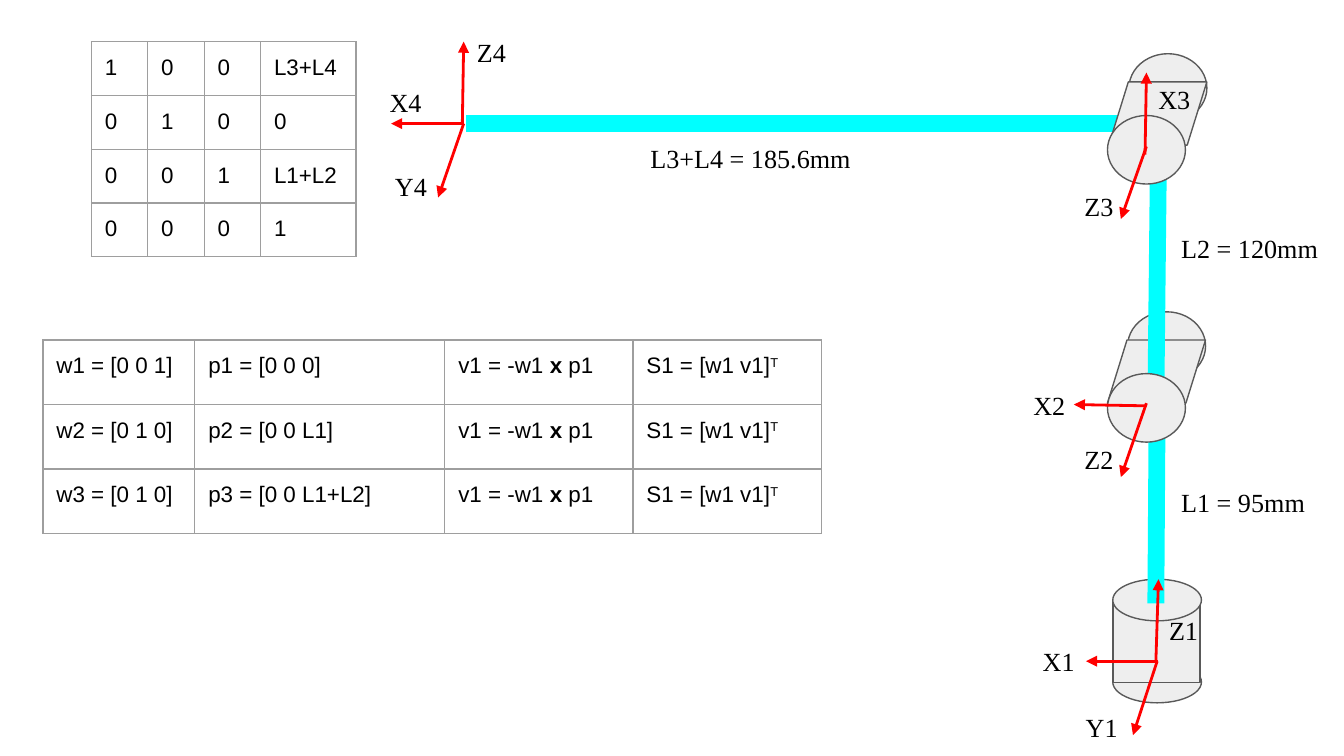
from dataclasses import dataclass

from lxml.etree import SubElement
from pptx import Presentation
from pptx.dml.color import RGBColor
from pptx.enum.shapes import MSO_CONNECTOR, MSO_SHAPE
from pptx.oxml.ns import qn
from pptx.util import Emu, Pt

EMU_PER_PX = 9144  # 100 px to the inch
SLIDE_WIDTH = 1000
INSET = 10

BLACK = RGBColor(0x00, 0x00, 0x00)
CYAN = RGBColor(0x00, 0xFF, 0xFF)
RED = RGBColor(0xFF, 0x00, 0x00)
LIGHT_GRAY = RGBColor(0xEE, 0xEE, 0xEE)
DARK_GRAY = RGBColor(0x59, 0x59, 0x59)
BORDER_GRAY = RGBColor(0x9E, 0x9E, 0x9E)


@dataclass(frozen=True)
class Solid:
    kind: MSO_SHAPE
    left: int
    top: int
    width: int
    height: int


@dataclass(frozen=True)
class Segment:
    x1: int
    y1: int
    x2: int
    y2: int


@dataclass(frozen=True)
class Label:
    text: str
    left: int
    top: int
    width: int = 50


@dataclass(frozen=True)
class Piece:
    text: str
    bold: bool = False
    superscript: bool = False


@dataclass(frozen=True)
class Grid:
    left: int
    top: int
    columns: tuple[int, ...]
    row_height: int
    rows: list[list[list[Piece]]]


HORIZONTAL_LINK = Segment(839, 92, 347, 92)
VERTICAL_LINKS = [Segment(860, 449, 861, 300), Segment(860, 300, 862, 114)]

BASE = [
    Solid(MSO_SHAPE.OVAL, 828, 492, 66, 31),
    Solid(MSO_SHAPE.RECTANGLE, 828, 447, 65, 61),
    Solid(MSO_SHAPE.OVAL, 828, 431, 66, 31),
]
JOINTS = [(824, 232), (825, 40)]  # left and top of each tilted cylinder
JOINT_BACKS = [
    solid
    for left, top in JOINTS
    for solid in (
        Solid(MSO_SHAPE.OVAL, left + 15, top, 58, 51),
        Solid(MSO_SHAPE.FLOWCHART_DATA, left, top + 21, 73, 47),
    )
]
JOINT_FRONTS = [Solid(MSO_SHAPE.OVAL, 824, top + 46, 58, 51) for _, top in JOINTS]

AXES = [
    Segment(860, 493, 862, 431),
    Segment(862, 492, 808, 492),
    Segment(861, 492, 843, 547),
    Segment(853, 302, 799, 301),
    Segment(853, 300, 834, 355),
    Segment(852, 115, 853, 54),
    Segment(853, 109, 834, 163),
    Segment(344, 93, 345, 31),
    Segment(345, 92, 291, 92),
    Segment(345, 92, 326, 147),
]

LABELS = [
    Label("Z1", 860, 447),
    Label("X1", 766, 470),
    Label("Y1", 798, 519),
    Label("Z2", 797, 320),
    Label("X2", 759, 280),
    Label("Z3", 797, 132),
    Label("X3", 852, 52),
    Label("Z4", 345, 17),
    Label("X4", 280, 54, 65),
    Label("Y4", 284, 117),
    Label("L1 = 95mm", 869, 352, 126),
    Label("L2 = 120mm", 869, 163, 126),
    Label("L3+L4 = 185.6mm", 474, 96, 249),
]

VELOCITY = [Piece("v1 = -w1 "), Piece("x", bold=True), Piece(" p1")]
SCREW = [Piece("S1 = [w1 v1]"), Piece("T", superscript=True)]
SCREW_AXES = Grid(
    32, 253, (113, 186, 140, 140), 48,
    [
        [[Piece(rotation)], [Piece(point)], VELOCITY, SCREW]
        for rotation, point in (
            ("w1 = [0 0 1]", "p1 = [0 0 0]"),
            ("w2 = [0 1 0]", "p2 = [0 0 L1]"),
            ("w3 = [0 1 0]", "p3 = [0 0 L1+L2]"),
        )
    ],
)
HOME_MATRIX = Grid(
    68, 31, (42, 42, 42, 71), 39,
    [
        [[Piece(value)] for value in row.split()]
        for row in ("1 0 0 L3+L4", "0 1 0 0", "0 0 1 L1+L2", "0 0 0 1")
    ],
)


def px(length: int) -> Emu:
    return Emu(length * EMU_PER_PX)


def draw_solid(slide, solid: Solid) -> None:
    shape = slide.shapes.add_shape(
        solid.kind, px(solid.left), px(solid.top), px(solid.width), px(solid.height)
    )
    shape.shadow.inherit = False
    shape.fill.solid()
    shape.fill.fore_color.rgb = LIGHT_GRAY
    shape.line.color.rgb = DARK_GRAY
    shape.line.width = Pt(0.75)


def draw_segment(
    slide, segment: Segment, color: RGBColor, width: float, arrow: bool = False
) -> None:
    connector = slide.shapes.add_connector(
        MSO_CONNECTOR.STRAIGHT,
        px(segment.x1), px(segment.y1), px(segment.x2), px(segment.y2),
    )
    connector.line.color.rgb = color
    connector.line.width = Pt(width)
    properties = connector._element.spPr
    if arrow:
        SubElement(properties.find(qn("a:ln")), qn("a:tailEnd"), type="triangle")
    SubElement(properties, qn("a:effectLst"))


def set_font(paragraph, name: str, size: int) -> None:
    paragraph.font.name = name
    paragraph.font.size = Pt(size)
    paragraph.font.color.rgb = BLACK


def draw_label(slide, label: Label) -> None:
    box = slide.shapes.add_textbox(
        px(label.left), px(label.top), px(label.width), px(44)
    )
    frame = box.text_frame
    frame.word_wrap = True
    frame.margin_left = frame.margin_right = px(INSET)
    frame.margin_top = frame.margin_bottom = px(INSET)
    frame.text = label.text
    set_font(frame.paragraphs[0], "Times New Roman", 14)


def add_borders(cell) -> None:
    """Outline all four sides; the borders must precede the fill in the XML."""
    properties = cell._tc.get_or_add_tcPr()
    for index, side in enumerate(("a:lnL", "a:lnR", "a:lnT", "a:lnB")):
        border = SubElement(properties, qn(side), w=str(Pt(0.75)))
        fill = SubElement(border, qn("a:solidFill"))
        SubElement(fill, qn("a:srgbClr"), val=str(BORDER_GRAY))
        properties.insert(index, border)


def fill_cell(cell, pieces: list[Piece]) -> None:
    cell.margin_left = cell.margin_right = px(INSET)
    cell.margin_top = cell.margin_bottom = px(INSET)
    cell.fill.background()
    add_borders(cell)
    paragraph = cell.text_frame.paragraphs[0]
    set_font(paragraph, "Arial", 12)
    for piece in pieces:
        run = paragraph.add_run()
        run.text = piece.text
        if piece.bold:
            run.font.bold = True
        if piece.superscript:
            run.font._element.set("baseline", "30000")


def draw_grid(slide, grid: Grid) -> None:
    table = slide.shapes.add_table(
        len(grid.rows), len(grid.columns), px(grid.left), px(grid.top),
        px(sum(grid.columns)), px(grid.row_height * len(grid.rows)),
    ).table
    table.first_row = table.horz_banding = False
    for column, width in zip(table.columns, grid.columns):
        column.width = px(width)
    for row, contents in zip(table.rows, grid.rows):
        for cell, pieces in zip(row.cells, contents):
            fill_cell(cell, pieces)


def main() -> None:
    presentation = Presentation()
    presentation.slide_width = px(SLIDE_WIDTH)
    presentation.slide_height = Emu(px(SLIDE_WIDTH) * 9 // 16)
    slide = presentation.slides.add_slide(presentation.slide_layouts[6])

    draw_segment(slide, HORIZONTAL_LINK, CYAN, 9)
    for solid in BASE + JOINT_BACKS:
        draw_solid(slide, solid)
    for link in VERTICAL_LINKS:
        draw_segment(slide, link, CYAN, 9)
    for solid in JOINT_FRONTS:
        draw_solid(slide, solid)
    for axis in AXES:
        draw_segment(slide, axis, RED, 1.5, arrow=True)
    for label in LABELS:
        draw_label(slide, label)
    for grid in (SCREW_AXES, HOME_MATRIX):
        draw_grid(slide, grid)

    presentation.save("out.pptx")


if __name__ == "__main__":
    main()
